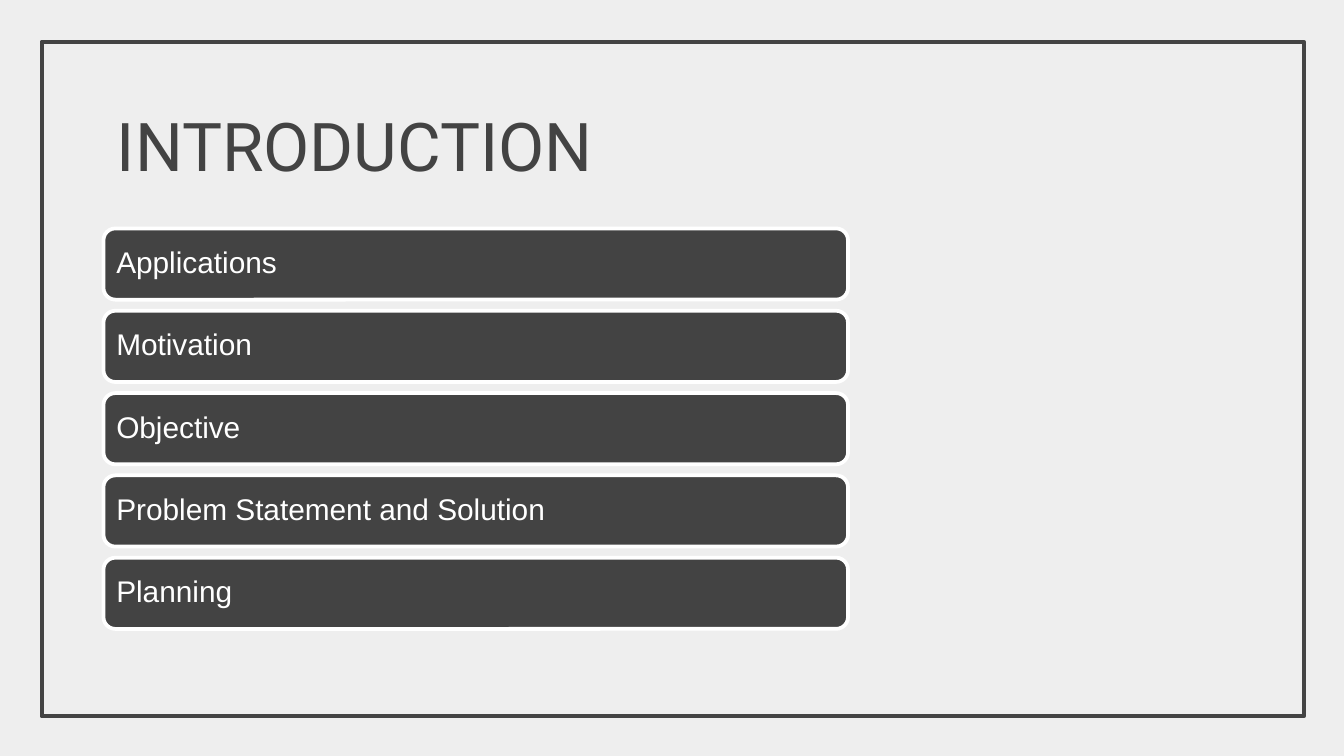
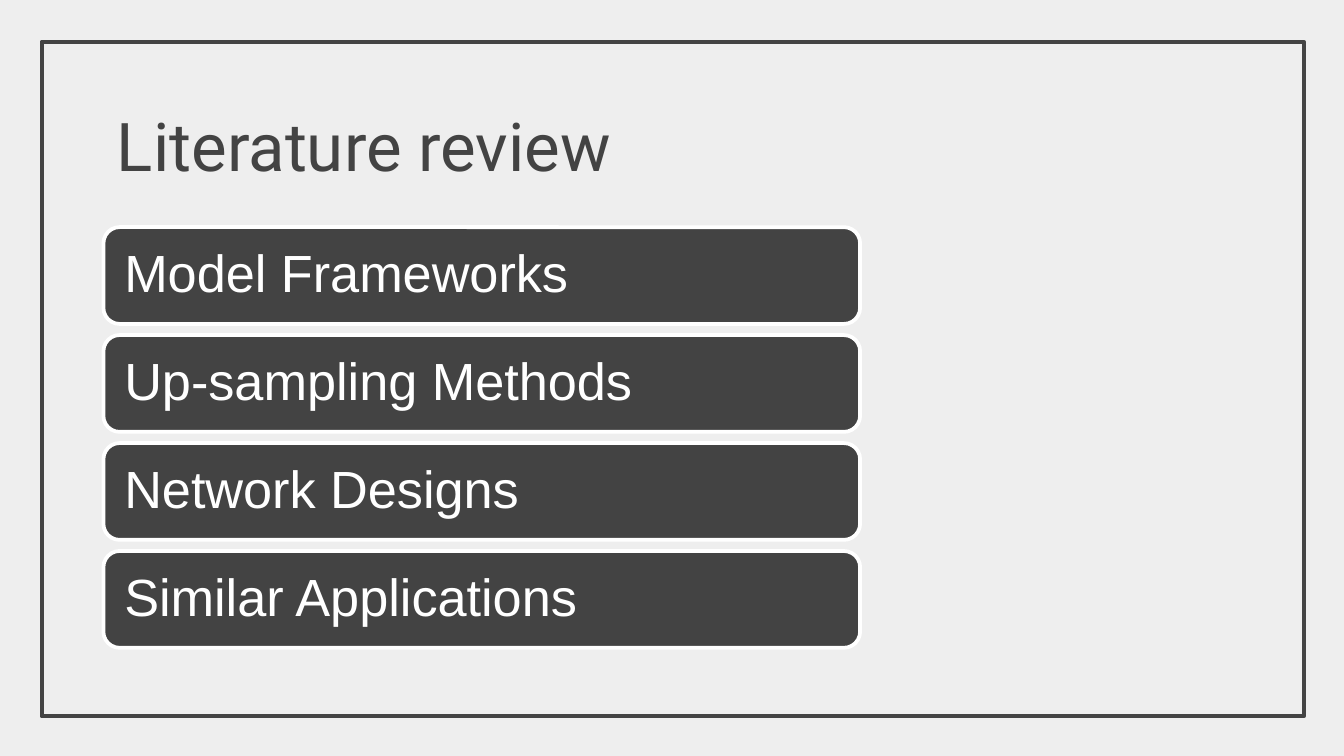
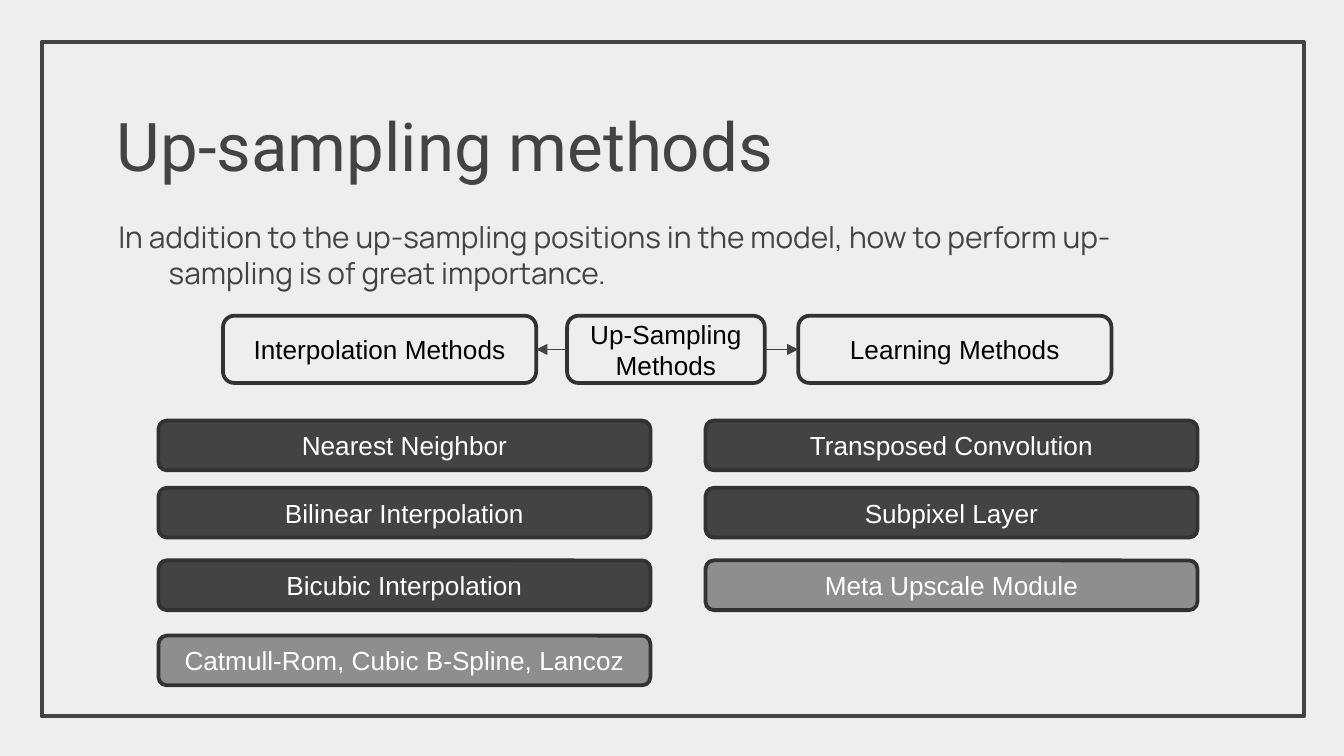
from dataclasses import dataclass

from lxml import etree
from pptx import Presentation
from pptx.dml.color import RGBColor
from pptx.enum.shapes import MSO_CONNECTOR, MSO_SHAPE
from pptx.enum.text import MSO_ANCHOR, MSO_AUTO_SIZE, PP_ALIGN
from pptx.oxml.ns import qn
from pptx.presentation import Presentation as Deck
from pptx.shapes.autoshape import Shape
from pptx.slide import Slide
from pptx.util import Inches, Pt

ROUNDED = MSO_SHAPE.ROUNDED_RECTANGLE
RECTANGLE = MSO_SHAPE.RECTANGLE
STRAIGHT = MSO_CONNECTOR.STRAIGHT
TOP, MIDDLE = MSO_ANCHOR.TOP, MSO_ANCHOR.MIDDLE
LEFT, CENTER = PP_ALIGN.LEFT, PP_ALIGN.CENTER
NO_AUTOFIT = MSO_AUTO_SIZE.NONE

PAPER = RGBColor(0xEE, 0xEE, 0xEE)
CHARCOAL = RGBColor(0x43, 0x43, 0x43)
OUTLINE = RGBColor(0x32, 0x32, 0x32)
ARROW = RGBColor(0x42, 0x42, 0x42)
GRAY = RGBColor(0x8E, 0x8E, 0x8E)
WHITE = RGBColor(0xFF, 0xFF, 0xFF)
BLACK = RGBColor(0x00, 0x00, 0x00)

SLIDE_WIDTH = Inches(10)
SLIDE_HEIGHT = SLIDE_WIDTH * 9 // 16
LEFT_SIDE, RIGHT_SIDE = 1, 3
CONTENT_LAYOUT, TITLE_LAYOUT = 1, 5
INSET_NAMES = ("margin_left", "margin_top", "margin_right", "margin_bottom")


@dataclass(frozen=True)
class Box:
    left: float
    top: float
    width: float
    height: float


@dataclass(frozen=True)
class BoxStyle:
    fill: RGBColor
    line: RGBColor
    text: RGBColor
    size: float = 14
    alignment: PP_ALIGN = CENTER
    inset: float = 0.1
    line_spacing: float = 1.0


@dataclass(frozen=True)
class Agenda:
    title: str
    labels: tuple[str, ...]
    first: Box
    last_top: float
    style: BoxStyle


@dataclass(frozen=True)
class MethodColumn:
    left: float
    labels: tuple[str, ...]


FRAME = Box(0.31, 0.31, 9.39, 5.02)
TITLE = Box(0.77, 0.67, 7.91, 0.81)
BODY = Box(0.78, 1.53, 8.13, 3.31)

AGENDAS = (
    Agenda(
        "INTRODUCTION",
        ("Applications", "Motivation", "Objective", "Problem Statement and Solution", "Planning"),
        Box(0.77, 1.7, 5.54, 0.53),
        4.15,
        BoxStyle(CHARCOAL, WHITE, WHITE, 16, LEFT, 0.07, 0.9),
    ),
    Agenda(
        "Literature review",
        ("Model Frameworks", "Up-sampling Methods", "Network Designs", "Similar Applications"),
        Box(0.77, 1.69, 5.63, 0.72),
        4.1,
        BoxStyle(CHARCOAL, WHITE, WHITE, 28, LEFT, 0.12, 0.9),
    ),
)

CATEGORY_STYLE = BoxStyle(PAPER, OUTLINE, BLACK)
METHOD_STYLE = BoxStyle(CHARCOAL, OUTLINE, WHITE)
LAST_METHOD_STYLE = BoxStyle(GRAY, OUTLINE, WHITE)
METHOD_TOPS = (3.13, 3.63, 4.17, 4.73)
METHOD_COLUMNS = (
    MethodColumn(
        1.18,
        (
            "Nearest Neighbor",
            "Bilinear Interpolation",
            "Bicubic Interpolation",
            "Catmull-Rom, Cubic B-Spline, Lancoz",
        ),
    ),
    MethodColumn(5.25, ("Transposed Convolution", "Subpixel Layer", "Meta Upscale Module")),
)


def set_values(target: object, values: dict[str, object]) -> None:
    for name, value in values.items():
        setattr(target, name, value)


def lengths(box: Box) -> tuple[int, ...]:
    return tuple(Inches(value) for value in (box.left, box.top, box.width, box.height))


def place(shape: Shape, box: Box) -> None:
    set_values(shape, dict(zip(("left", "top", "width", "height"), lengths(box))))


def write_text(
    shape: Shape,
    text: str,
    font_name: str,
    size: float,
    color: RGBColor,
    alignment: PP_ALIGN = LEFT,
    anchor: MSO_ANCHOR = MIDDLE,
    inset: float = 0.1,
    line_spacing: float = 1.0,
) -> None:
    frame = shape.text_frame
    set_values(frame, {"word_wrap": True, "auto_size": NO_AUTOFIT, "vertical_anchor": anchor})
    set_values(frame, dict.fromkeys(INSET_NAMES, Inches(inset)))
    frame.text = text
    paragraph = frame.paragraphs[0]
    set_values(
        paragraph,
        {"alignment": alignment, "line_spacing": line_spacing, "space_before": Pt(0)},
    )
    font = paragraph.runs[0].font
    set_values(font, {"name": font_name, "size": Pt(size)})
    font.color.rgb = color


def add_box(slide: Slide, box: Box, text: str, style: BoxStyle) -> Shape:
    shape = slide.shapes.add_shape(ROUNDED, *lengths(box))
    shape.shadow.inherit = False
    shape.fill.solid()
    shape.fill.fore_color.rgb = style.fill
    shape.line.color.rgb = style.line
    shape.line.width = Pt(2)
    write_text(
        shape,
        text,
        "Arial",
        style.size,
        style.text,
        style.alignment,
        inset=style.inset,
        line_spacing=style.line_spacing,
    )
    return shape


def add_arrow(slide: Slide, start: Shape, start_side: int, end: Shape, end_side: int) -> None:
    connector = slide.shapes.add_connector(STRAIGHT, 0, 0, 0, 0)
    connector.begin_connect(start, start_side)
    connector.end_connect(end, end_side)
    connector.line.color.rgb = ARROW
    connector.line.width = Pt(0.75)
    properties = connector._element.spPr
    etree.SubElement(properties.find(qn("a:ln")), qn("a:tailEnd"), type="triangle")
    etree.SubElement(properties, qn("a:effectLst"))


def add_framed_slide(presentation: Deck, layout: int, title: str) -> Slide:
    slide = presentation.slides.add_slide(presentation.slide_layouts[layout])
    frame = slide.shapes.add_shape(RECTANGLE, *lengths(FRAME))
    frame.shadow.inherit = False
    frame.fill.background()
    frame.line.color.rgb = CHARCOAL
    frame.line.width = Pt(2.25)
    place(slide.shapes.title, TITLE)
    write_text(slide.shapes.title, title, "Roboto", 36, CHARCOAL)
    return slide


def build_agenda(presentation: Deck, agenda: Agenda) -> None:
    slide = add_framed_slide(presentation, TITLE_LAYOUT, agenda.title)
    first = agenda.first
    pitch = (agenda.last_top - first.top) / (len(agenda.labels) - 1)
    for row, label in enumerate(agenda.labels):
        bar = Box(first.left, first.top + row * pitch, first.width, first.height)
        add_box(slide, bar, label, agenda.style)


def build_methods(presentation: Deck) -> None:
    slide = add_framed_slide(presentation, CONTENT_LAYOUT, "Up-sampling methods")
    body = slide.placeholders[1]
    place(body, BODY)
    write_text(
        body,
        "In addition to the up-sampling positions in the model, "
        "how to perform up-sampling is of great importance.",
        "Manrope",
        16,
        CHARCOAL,
        anchor=TOP,
    )
    properties = body.text_frame.paragraphs[0]._p.get_or_add_pPr()
    set_values(properties, {"marL": Inches(0.17), "indent": 0})
    etree.SubElement(properties, qn("a:buNone"))

    interpolation, center, learning = (
        add_box(slide, Box(left, 2.35, width, 0.5), label, CATEGORY_STYLE)
        for left, width, label in (
            (1.66, 2.33, "Interpolation Methods"),
            (4.22, 1.47, "Up-Sampling Methods"),
            (5.94, 2.33, "Learning Methods"),
        )
    )
    add_arrow(slide, center, LEFT_SIDE, interpolation, RIGHT_SIDE)
    add_arrow(slide, center, RIGHT_SIDE, learning, LEFT_SIDE)

    for column in METHOD_COLUMNS:
        for top, label in zip(METHOD_TOPS, column.labels):
            style = LAST_METHOD_STYLE if label == column.labels[-1] else METHOD_STYLE
            add_box(slide, Box(column.left, top, 3.66, 0.37), label, style)


def main() -> None:
    presentation = Presentation()
    set_values(presentation, {"slide_width": SLIDE_WIDTH, "slide_height": SLIDE_HEIGHT})
    background = presentation.slide_master.background.fill
    background.solid()
    background.fore_color.rgb = PAPER
    for agenda in AGENDAS:
        build_agenda(presentation, agenda)
    build_methods(presentation)
    presentation.save("out.pptx")


if __name__ == "__main__":
    main()
